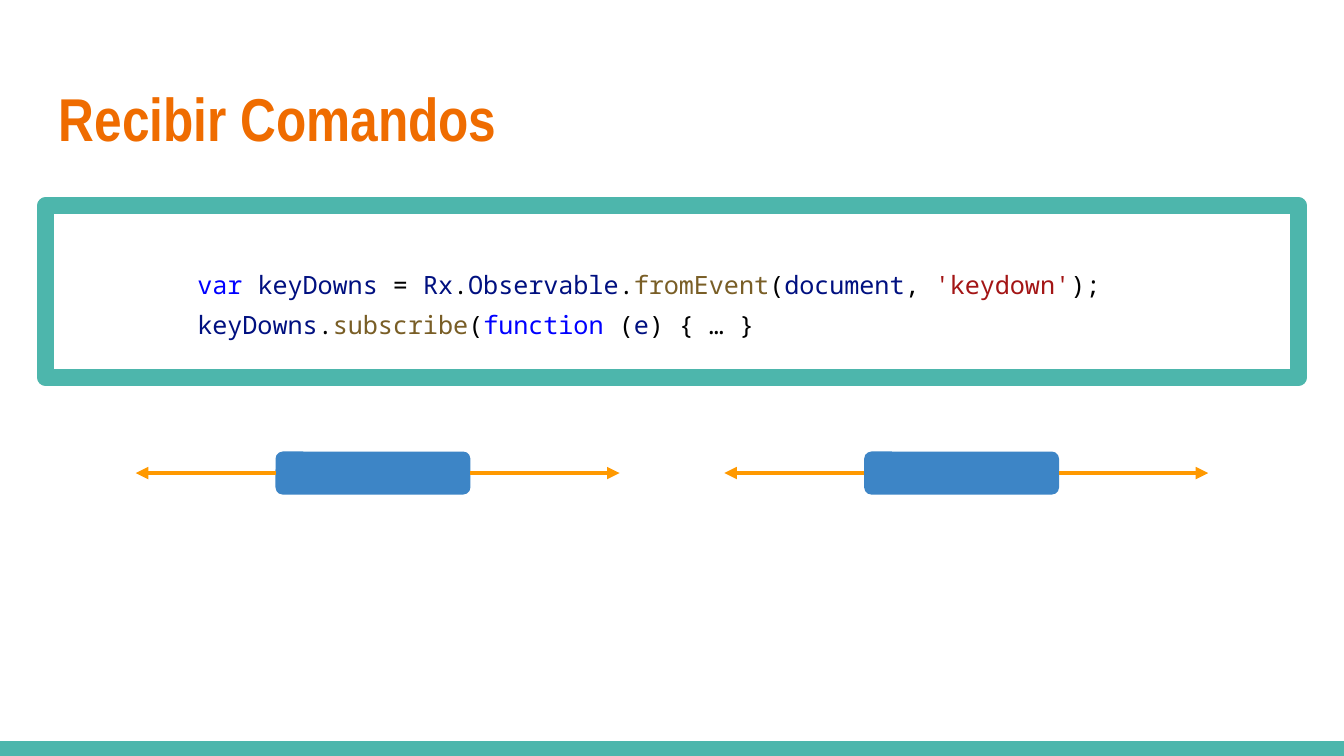
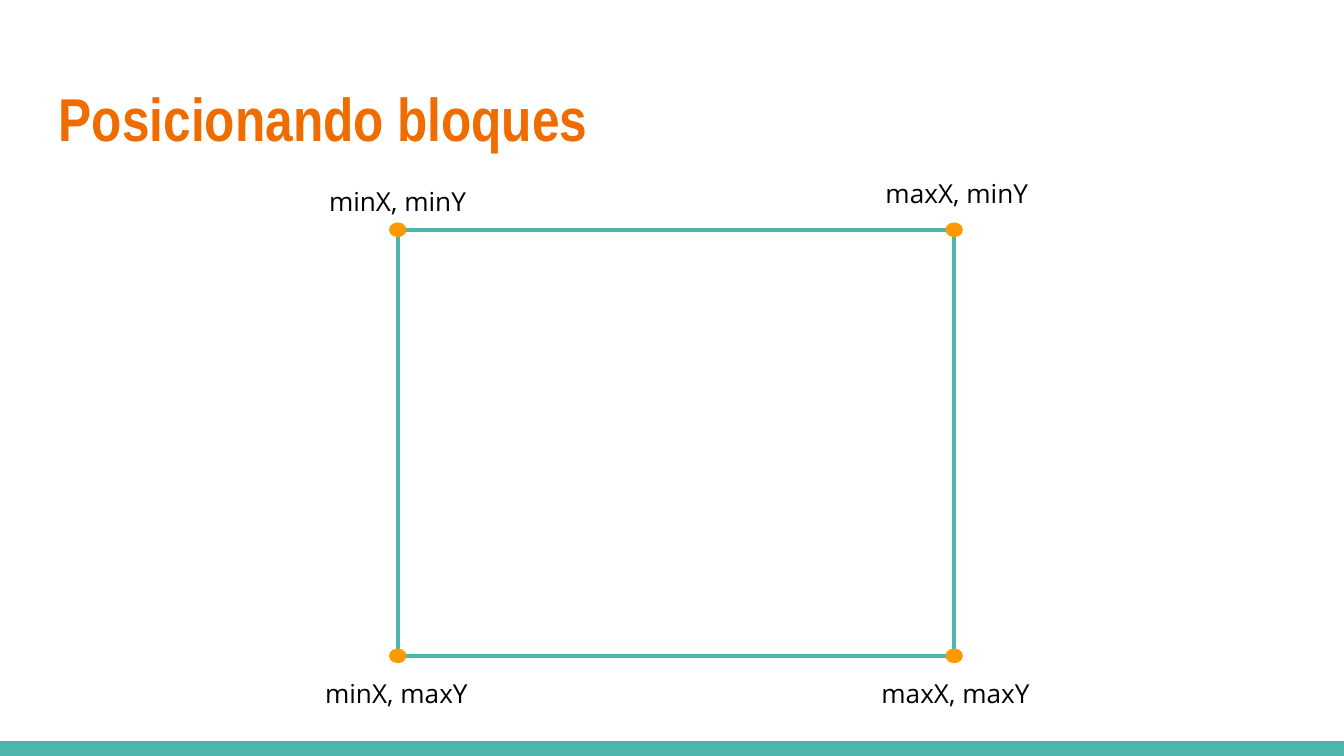
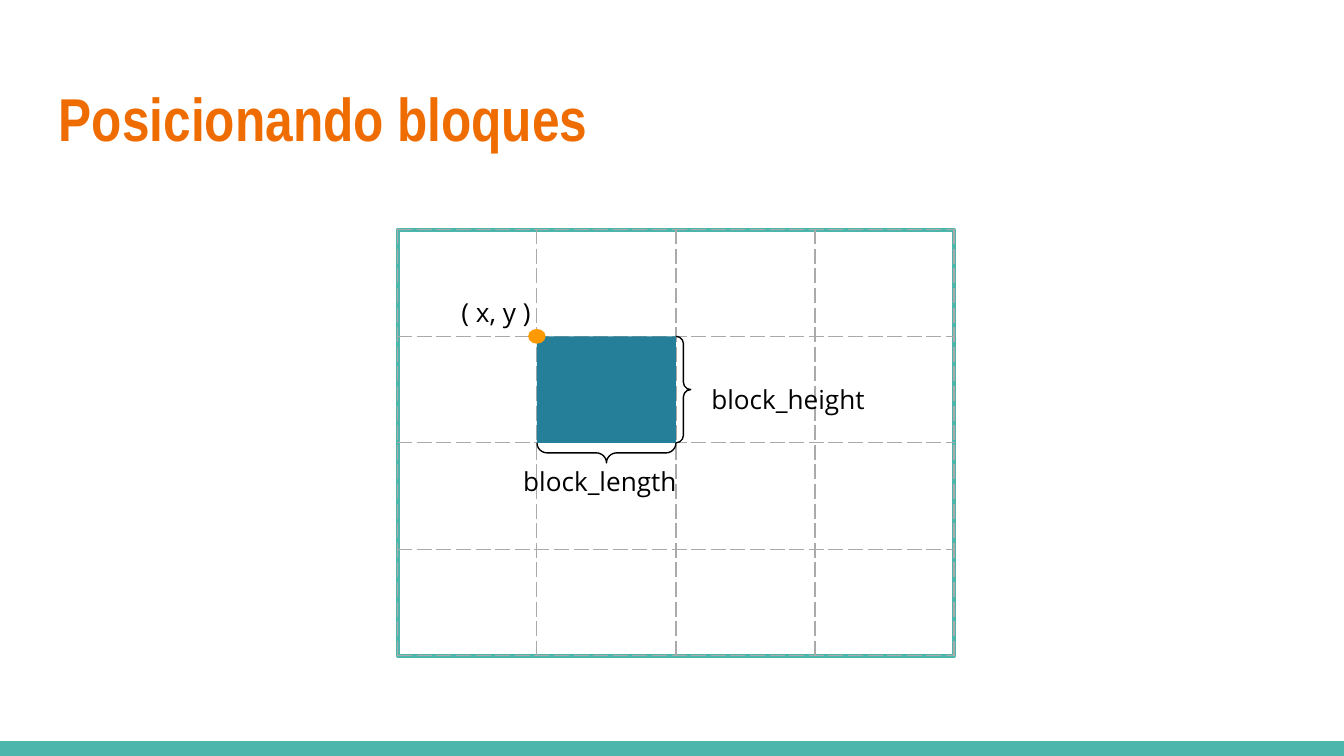
from dataclasses import dataclass
from itertools import product

from lxml import etree
from pptx import Presentation
from pptx import util as u
from pptx.dml import color
from pptx.enum import shapes, text
from pptx.oxml import ns

KIND = shapes.MSO_SHAPE
CELL = u.Inches(0.1)  # side of one grid square
COLS, ROWS = 100, 100 * 9 / 16


@dataclass(frozen=True)
class Theme:
    teal: str = "4DB6AC"
    title: str = "EF6C00"
    amber: str = "FF9900"
    blue: str = "3D85C6"
    block: str = "267F99"
    grey: str = "AAAAAA"
    ink: str = "000000"
    # Code colours
    word: str = "0000FF"
    name: str = "001080"
    call: str = "795E26"
    quote: str = "A31515"
    # Fonts and sizes
    head: str = "Arial Narrow"
    mono: str = "Noto Sans Mono"
    body: str = "Open Sans"
    head_pt: float = 32.4
    mono_pt: float = 13.5
    body_pt: float = 14
    thin: float = 0.75
    mid: float = 2.25
    thick: float = 9


T = Theme()


@dataclass(frozen=True)
class Box:
    """A region in grid columns and rows."""
    x: float
    y: float
    w: float
    h: float

    def sub(self, x, y, w, h):
        return Box(self.x + x, self.y + y, w, h)

    def emu(self):
        return [round(n * CELL) for n in (self.x, self.y, self.w, self.h)]


PAGE = Box(0, 0, COLS, ROWS)
FIELD = PAGE.sub(29.6, 17.1, 41.4, 31.7)


# Shared building parts

def rgb(code):
    return color.RGBColor.from_string(code)


def add(parent, tag, **attrs):
    return etree.SubElement(parent, ns.qn("a:" + tag), attrs)


def draw(slide, kind, box, fill=None, line=None, width=T.mid):
    shape = slide.shapes.add_shape(kind, *box.emu())
    shape.shadow.inherit = False
    if fill:
        shape.fill.solid()
        shape.fill.fore_color.rgb = rgb(fill)
    else:
        shape.fill.background()
    if line:
        shape.line.color.rgb = rgb(line)
        shape.line.width = u.Pt(width)
        add(shape.line._get_or_add_ln(), "round")
    else:
        shape.line.fill.background()
    return shape


def write(slide, box, lines, font=T.body, size=T.body_pt, ink=T.ink,
          bold=False, space=None, anchor=text.MSO_ANCHOR.TOP,
          fit=text.MSO_AUTO_SIZE.SHAPE_TO_FIT_TEXT):
    """Write a string, or lines made of (words, colour) pairs."""
    if isinstance(lines, str):
        lines = [[(lines, ink)]]
    frame = slide.shapes.add_textbox(*box.emu()).text_frame
    frame.word_wrap = True
    frame.auto_size = fit
    frame.vertical_anchor = anchor
    frame.margin_left = frame.margin_right = CELL
    frame.margin_top = frame.margin_bottom = CELL
    for i, line in enumerate(lines):
        para = frame.add_paragraph() if i else frame.paragraphs[0]
        para.line_spacing = space
        for words, tint in line:
            run = para.add_run()
            run.text = words
            run.font.name, run.font.size = font, u.Pt(size)
            run.font.bold = bold
            run.font.color.rgb = rgb(tint)


def arrow(slide, block, side, tip):
    x, y, w, h = block.left, block.top, block.width, block.height
    mid = y + h // 2
    start = x if side == 1 else x + w
    line = slide.shapes.add_connector(
        shapes.MSO_CONNECTOR.STRAIGHT, start, mid, round(tip * CELL), mid)
    line.begin_connect(block, side)
    line.line.color.rgb = rgb(T.amber)
    line.line.width = u.Pt(T.mid)
    add(line.line._get_or_add_ln(), "tailEnd", type="triangle")
    add(line._element.spPr, "effectLst")


def dot(slide, x, y):
    draw(slide, KIND.OVAL, Box(x - 0.65, y - 0.55, 1.3, 1.1), fill=T.amber)


def page(deck, title):
    slide = deck.slides.add_slide(deck.slide_layouts[6])
    draw(slide, KIND.RECTANGLE, PAGE.sub(0, ROWS - 1.1, COLS, 1.1), fill=T.teal)
    write(slide, PAGE.sub(3.4, 4.9, 93.2, 7.7), title, font=T.head,
          size=T.head_pt, ink=T.title, bold=True,
          anchor=text.MSO_ANCHOR.MIDDLE, fit=text.MSO_AUTO_SIZE.NONE)
    return slide


# Regions

def code(slide, box):
    draw(slide, KIND.RECTANGLE, box, line=T.teal, width=T.thick)
    lines = [
        [("var", T.word), (" ", T.ink), ("keyDowns", T.name), (" = ", T.ink),
         ("Rx", T.name), (".", T.ink), ("Observable", T.name), (".", T.ink),
         ("fromEvent", T.call), ("(", T.ink), ("document", T.name),
         (", ", T.ink), ("'keydown'", T.quote), (");", T.ink)],
        [("keyDowns", T.name), (".", T.ink), ("subscribe", T.call),
         ("(", T.ink), ("function", T.word), (" (", T.ink), ("e", T.name),
         (") { … }", T.ink)],
    ]
    write(slide, box.sub(10.3, 3, 72.5, 7.3), lines, font=T.mono,
          size=T.mono_pt, space=1.33)


def moves(slide, box):
    """Two blocks, each with an arrow to the left and to the right."""
    span = 36
    for x in (0, box.w - span):
        lane = box.sub(x, 0, span, box.h)
        block = draw(slide, KIND.ROUNDED_RECTANGLE,
                     lane.sub(10.4, 0, 14.5, box.h), fill=T.blue)
        arrow(slide, block, 1, lane.x)
        arrow(slide, block, 3, lane.x + span)


def limits(slide, box):
    draw(slide, KIND.RECTANGLE, box, line=T.teal)
    for y, x in product((0, box.h), (0, box.w)):
        dot(slide, box.x + x, box.y + y)
    # Corner labels: corner, shift from it, width
    for label, x, y, dx, dy, w in (
            ("minX, minY", 0, 0, -6.1, -4.3, 12.4),
            ("maxX, minY", 1, 0, -6.1, -4.9, 14.3),
            ("maxX, maxY", 1, 1, -6.4, 0.6, 14.3),
            ("minX, maxY", 0, 1, -6.4, 0.6, 13.9)):
        write(slide, box.sub(x * box.w + dx, y * box.h + dy, w, 4.4), label)


def edge(cell):
    props = cell._tc.get_or_add_tcPr()
    for side in "LRTB":
        line = add(props, "ln" + side, w=str(u.Pt(T.thin)))
        add(add(line, "solidFill"), "srgbClr", val=T.grey)
        add(line, "prstDash", val="dash")
    cell.fill.background()


def grid(slide, box, count):
    draw(slide, KIND.RECTANGLE, box, line=T.teal)
    table = slide.shapes.add_table(count, count, *box.emu()).table
    table.first_row = table.horz_banding = False
    for cell in table.iter_cells():
        edge(cell)


def measure(slide, box):
    """A block with its origin and braces for its two sides."""
    draw(slide, KIND.RECTANGLE, box, fill=T.block)
    tall = draw(slide, KIND.RIGHT_BRACE, box.sub(box.w, 0, 1.1, box.h),
                line=T.ink, width=T.thin)
    deep = 1.5
    wide = draw(slide, KIND.RIGHT_BRACE,
                box.sub((box.w - deep) / 2, box.h + (deep - box.w) / 2,
                        deep, box.w), line=T.ink, width=T.thin)
    wide.rotation = 90
    for brace in (tall, wide):
        brace.adjustments[0] = 0.5
    dot(slide, box.x, box.y)
    for label, x, y, w in (("block_height", 12, 2.5, 14.3),
                           ("block_length", -2, 8.6, 14.3),
                           ("( x, y )", -6.6, -4, 7.4)):
        write(slide, box.sub(x, y, w, 4.4), label)


def main():
    deck = Presentation()
    deck.slide_width, deck.slide_height = PAGE.emu()[2:]

    slide = page(deck, "Recibir Comandos")
    code(slide, PAGE.sub(3.4, 15.3, 93.2, 12.8))
    moves(slide, PAGE.sub(10.1, 33.6, 79.8, 3.2))

    limits(page(deck, "Posicionando bloques"), FIELD)

    slide = page(deck, "Posicionando bloques")
    count = 4
    w, h = FIELD.w / count, FIELD.h / count
    grid(slide, FIELD, count)
    measure(slide, FIELD.sub(w, h, w, h))

    deck.save("out.pptx")


if __name__ == "__main__":
    main()
